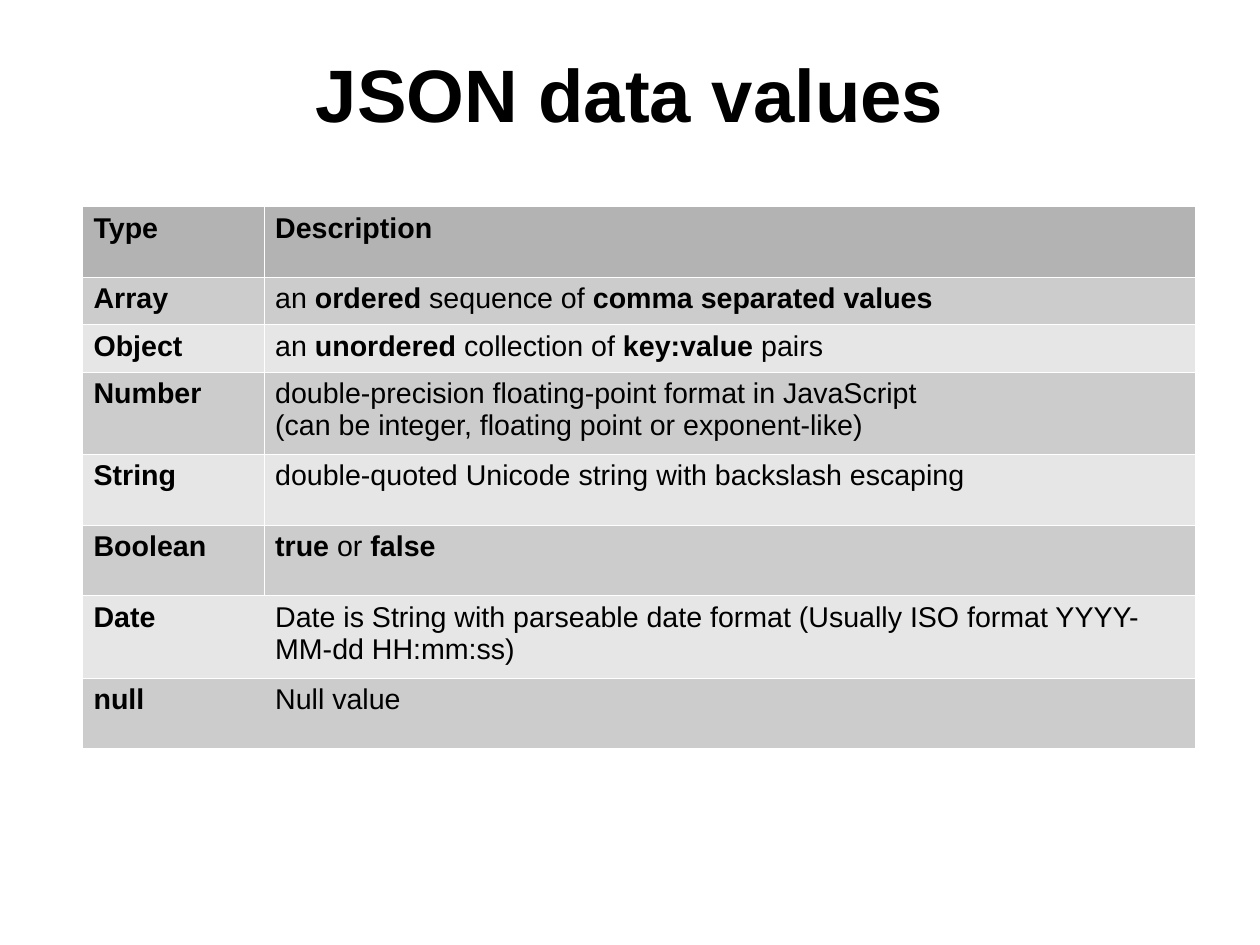
from dataclasses import dataclass

from lxml.etree import SubElement
from pptx import Presentation
from pptx.dml.color import RGBColor
from pptx.enum.text import MSO_ANCHOR, PP_ALIGN
from pptx.oxml.ns import qn
from pptx.util import Pt


@dataclass(frozen=True)
class Theme:
    font: str = "Arial"
    text: str = "000000"
    header: str = "B3B3B3"
    bands: tuple = ("CCCCCC", "E6E6E6")
    border: str = "FFFFFF"
    border_width: float = 0.06
    title_size: float = 46.8
    table_size: float = 18


THEME = Theme()
SLIDE_SIZE = (793.75, 595.25)
TITLE_BOX = (39.6, 23.8, 714.2, 69.8)
TABLE_BOX = (51.8, 130, 701, 341.6)
TYPE_WIDTH = 114.4
SINGLE, TALL, DOUBLE = 29.8, 44.6, 51.8

# Row height, type and description; ** marks the start and end of bold text.
ROWS = [
    (TALL, "Type", "**Description**"),
    (SINGLE, "Array", "an **ordered** sequence of **comma separated values**"),
    (SINGLE, "Object", "an **unordered** collection of **key:value** pairs"),
    (DOUBLE, "Number", "double-precision floating-point format in JavaScript\n"
                       "(can be integer, floating point or exponent-like)"),
    (TALL, "String", "double-quoted Unicode string with backslash escaping"),
    (TALL, "Boolean", "**true** or **false**"),
    (DOUBLE, "Date", "Date is String with parseable date format "
                     "(Usually ISO format YYYY-MM-dd HH:mm:ss)"),
    (TALL, "null", "Null value"),
]
UNDIVIDED_TYPES = ("Date", "null")


def format_run(run, size, bold):
    run.font.name = THEME.font
    run.font.size = Pt(size)
    run.font.bold = bold
    run.font.color.rgb = RGBColor.from_string(THEME.text)


def add_title(slide, box, text):
    title = slide.shapes.title
    title.left, title.top, title.width, title.height = map(Pt, box)
    frame = title.text_frame
    frame.margin_left = frame.margin_right = 0
    frame.margin_top = frame.margin_bottom = 0
    frame.vertical_anchor = MSO_ANCHOR.MIDDLE
    frame.word_wrap = True
    frame.text = text
    paragraph = frame.paragraphs[0]
    paragraph.alignment = PP_ALIGN.CENTER
    format_run(paragraph.runs[0], THEME.title_size, True)


def write_marked_text(frame, marked_text):
    """Write one paragraph per line, with the parts between ** in bold."""
    lines = marked_text.split("\n")
    frame.text = lines[0]
    for line in lines[1:]:
        frame.add_paragraph().text = line
    for paragraph, line in zip(frame.paragraphs, lines):
        paragraph.clear()
        for index, part in enumerate(line.split("**")):
            if part:
                run = paragraph.add_run()
                run.text = part
                format_run(run, THEME.table_size, index % 2 == 1)


def set_borders(cell, hidden_side):
    properties = cell._tc.get_or_add_tcPr()
    for side in ("L", "R", "T", "B"):
        line = SubElement(properties, qn(f"a:ln{side}"), w=str(Pt(THEME.border_width)))
        if side == hidden_side:
            SubElement(line, qn("a:noFill"))
        else:
            fill = SubElement(line, qn("a:solidFill"))
            SubElement(fill, qn("a:srgbClr"), val=THEME.border)


def fill_cell(cell, marked_text, color, hidden_side):
    set_borders(cell, hidden_side)
    cell.fill.solid()
    cell.fill.fore_color.rgb = RGBColor.from_string(color)
    cell.margin_left = cell.margin_right = Pt(7.2)
    cell.margin_top = cell.margin_bottom = Pt(3.6)
    write_marked_text(cell.text_frame, marked_text)


def add_type_table(slide, box, rows):
    table = slide.shapes.add_table(len(rows), 2, *map(Pt, box)).table
    table.first_row = table.horz_banding = False
    table.columns[0].width = Pt(TYPE_WIDTH)
    table.columns[1].width = Pt(box[2] - TYPE_WIDTH)
    for index, (height, type_name, description) in enumerate(rows):
        table.rows[index].height = Pt(height)
        color = THEME.bands[(index - 1) % 2] if index else THEME.header
        undivided = type_name in UNDIVIDED_TYPES
        fill_cell(table.cell(index, 0), f"**{type_name}**", color, "R" if undivided else None)
        fill_cell(table.cell(index, 1), description, color, "L" if undivided else None)


def main():
    presentation = Presentation()
    presentation.slide_width, presentation.slide_height = map(Pt, SLIDE_SIZE)
    slide = presentation.slides.add_slide(presentation.slide_layouts.get_by_name("Title Only"))
    add_title(slide, TITLE_BOX, "JSON data values")
    add_type_table(slide, TABLE_BOX, ROWS)
    presentation.save("out.pptx")


if __name__ == "__main__":
    main()
